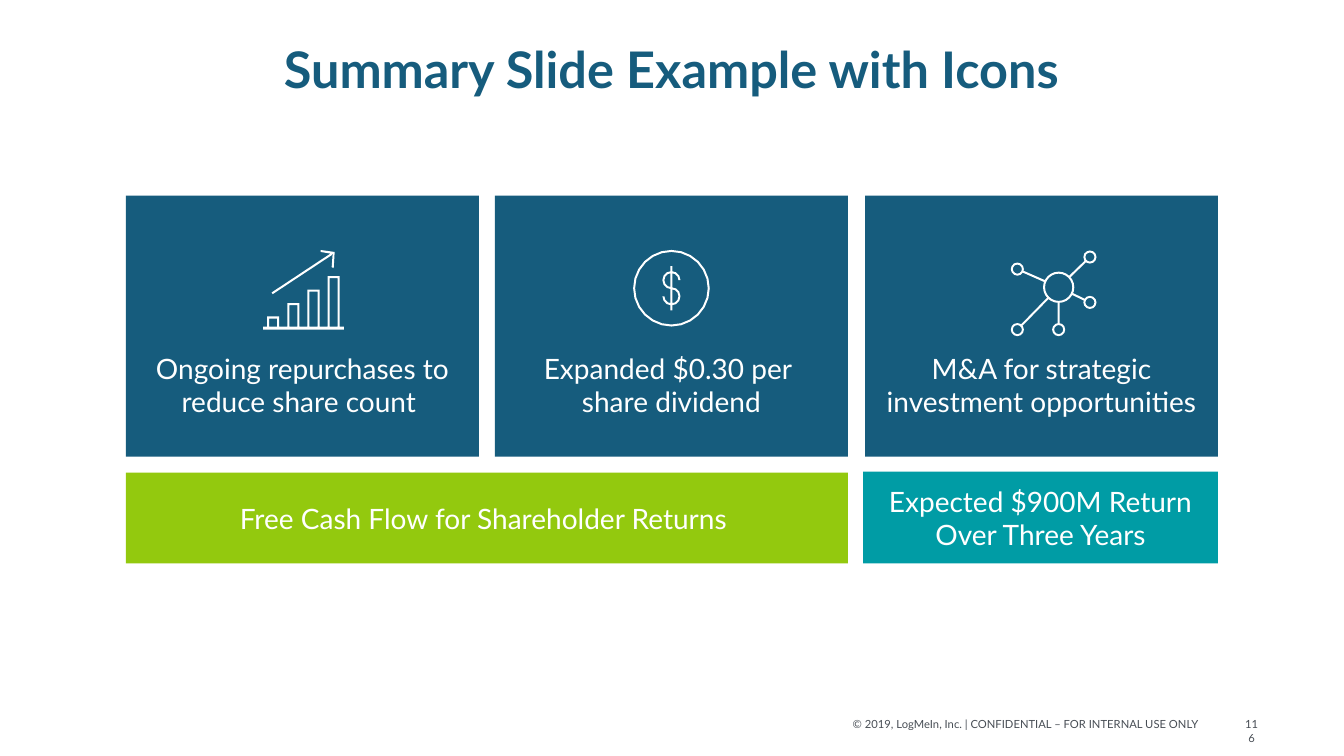
from dataclasses import dataclass
from math import cos, hypot, radians, sin

from pptx import Presentation
from pptx.dml.color import RGBColor
from pptx.enum.shapes import MSO_SHAPE
from pptx.enum.text import MSO_ANCHOR, PP_ALIGN
from pptx.util import Pt

RECT = MSO_SHAPE.RECTANGLE
TOP, MIDDLE, BOTTOM = MSO_ANCHOR.TOP, MSO_ANCHOR.MIDDLE, MSO_ANCHOR.BOTTOM
CENTER, RIGHT = PP_ALIGN.CENTER, PP_ALIGN.RIGHT
SCALE = 9144  # EMU per px, 100 px to the inch
HALF = 1  # half the width of an icon's stroke, in px


@dataclass(frozen=True)
class Theme:
    font: str = "Lato"
    navy: str = "165C7D"
    lime: str = "93C90E"
    teal: str = "009CA5"
    white: str = "FFFFFF"
    gray: str = "484E55"
    title: int = 36
    body: int = 20
    small: int = 8


THEME = Theme()


def px(*vals):
    return [round(v * SCALE) for v in vals]


def rgb(color):
    return RGBColor.from_string(color)


def paint(shape, color):
    shape.shadow.inherit = False
    shape.fill.solid()
    shape.fill.fore_color.rgb = rgb(color)
    shape.line.fill.background()


def write(shape, lines, size, color, anchor=TOP, align=CENTER, bold=False):
    frame = shape.text_frame
    frame.word_wrap = True
    frame.vertical_anchor = anchor
    frame.text = "\n".join(lines)
    for para in frame.paragraphs:
        para.alignment = align
        font = para.font
        font.name, font.size, font.bold = THEME.font, Pt(size), bold
        font.color.rgb = rgb(color)
    return frame


def label(slide, box, text, size, color, align=CENTER, bold=False):
    area = slide.shapes.add_textbox(*px(*box))
    return write(area, [text], size, color, align=align, bold=bold)


def panel(slide, box, color, lines, anchor=MIDDLE):
    shape = slide.shapes.add_shape(RECT, *px(*box))
    paint(shape, color)
    return write(shape, lines, THEME.body, THEME.white, anchor)


def block(x, y, w, h):
    return [(x, y), (x + w, y), (x + w, y + h), (x, y + h)]


def arc(cx, cy, r, angles):
    return [(cx + r * cos(radians(a)), cy + r * sin(radians(a)))
            for a in angles]


def ring(cx, cy, r):
    step = 15 if r > 12 else 30
    return [arc(cx, cy, r + side, range(0, 360, step))
            for side in (HALF, -HALF)]


def stroke(x1, y1, x2, y2):
    span = hypot(x2 - x1, y2 - y1)
    nx, ny = HALF * (y1 - y2) / span, HALF * (x2 - x1) / span
    return [(x1 + nx, y1 + ny), (x2 + nx, y2 + ny),
            (x2 - nx, y2 - ny), (x1 - nx, y1 - ny)]


def growth():
    base = 76
    parts = [block(0, base, 80, 3)]
    for i in range(4):
        x, top = 4 + 20 * i, 66 - 40 * i / 3
        parts.append(block(x, top, 12, base - top))
        parts.append(block(x + 2, top + 2, 8, base - top - 2))
    head = [(57, 0), (71, 2), (70, 18), (68, 17), (69, 4), (57, 2)]
    return parts + [stroke(9, 43, 68, 4), head]


def dollar():
    cx, cy, r = 39, 38, 8
    parts = ring(cx, cy, 37)
    edges = []
    for side in (HALF, -HALF):
        upper = arc(cx, cy - r, r + side, range(0, -271, -30))
        lower = arc(cx, cy + r, r - side, range(-90, 181, 30))
        edges.append(upper + lower)
    parts.append(edges[0] + edges[1][::-1])
    # The bar stops at each edge of the S, as overlaps would be cut out.
    for top, end in [(-22, -17), (-15, -1), (1, 15), (17, 22)]:
        parts.append(stroke(cx, cy + top, cx, cy + end))
    return parts


def network():
    hx, hy, core, dot = 47, 37, 14.5, 5.5
    parts = ring(hx, hy, core)
    for nx, ny in [(6, 19), (78, 7), (78, 52), (6, 79), (47, 79)]:
        span = hypot(nx - hx, ny - hy)
        ux, uy = (nx - hx) / span, (ny - hy) / span
        near, far = core + HALF, dot + HALF
        parts += ring(nx, ny, dot)
        parts.append(stroke(hx + near * ux, hy + near * uy,
                            nx - far * ux, ny - far * uy))
    return parts


def icon(slide, x, y, parts):
    """Draw all outlines of an icon as one filled shape."""
    pen = None
    for part in parts:
        first, *rest = [px(x + dx, y + dy) for dx, dy in part]
        if pen is None:
            pen = slide.shapes.build_freeform(*first, scale=1)
        else:
            pen.move_to(*first)
        pen.add_line_segments(rest, close=True)
    paint(pen.convert_to_shape(), THEME.white)


def cards(slide, x, y, w, h):
    items = [
        (["Ongoing repurchases to reduce share count "], growth, 136),
        (["Expanded $0.30 per ", "share dividend"], dollar, 136),
        (["M&A for strategic investment opportunities"], network, 145),
    ]
    wide = 350
    for i, (lines, draw, inset) in enumerate(items):
        left = x + i * (w - wide) // (len(items) - 1)
        frame = panel(slide, (left, y, wide, h), THEME.navy, lines, BOTTOM)
        frame.margin_bottom = px(38)[0]
        icon(slide, left + inset, y + 54, draw())


def totals(slide, x, y, w, h):
    side = 352
    panel(slide, (x, y + 1, 716, h - 1), THEME.lime,
          ["Free Cash Flow for Shareholder Returns "])
    panel(slide, (x + w - side, y, side, h), THEME.teal,
          ["Expected $900M Return Over Three Years"])


def footer(slide, x, y, w, h):
    label(slide, (x, y, 364, h),
          "© 2019, LogMeIn, Inc. | CONFIDENTIAL – FOR INTERNAL USE ONLY",
          THEME.small, THEME.gray, RIGHT)
    label(slide, (x + w - 33, y, 33, h), "116", THEME.small, THEME.gray)


def summary(deck):
    slide = deck.slides.add_slide(deck.slide_layouts[6])
    head = label(slide, (91, 40, 1150, 129), "Summary Slide Example with Icons",
                 THEME.title, THEME.navy, bold=True)
    head.paragraphs[0].line_spacing = 0.9
    cards(slide, 125, 194, 1083, 259)
    totals(slide, 125, 468, 1083, 91)
    footer(slide, 835, 707, 423, 24)


def main():
    deck = Presentation()
    deck.slide_width, deck.slide_height = px(1333, 750)
    summary(deck)
    deck.save("out.pptx")


if __name__ == "__main__":
    main()
